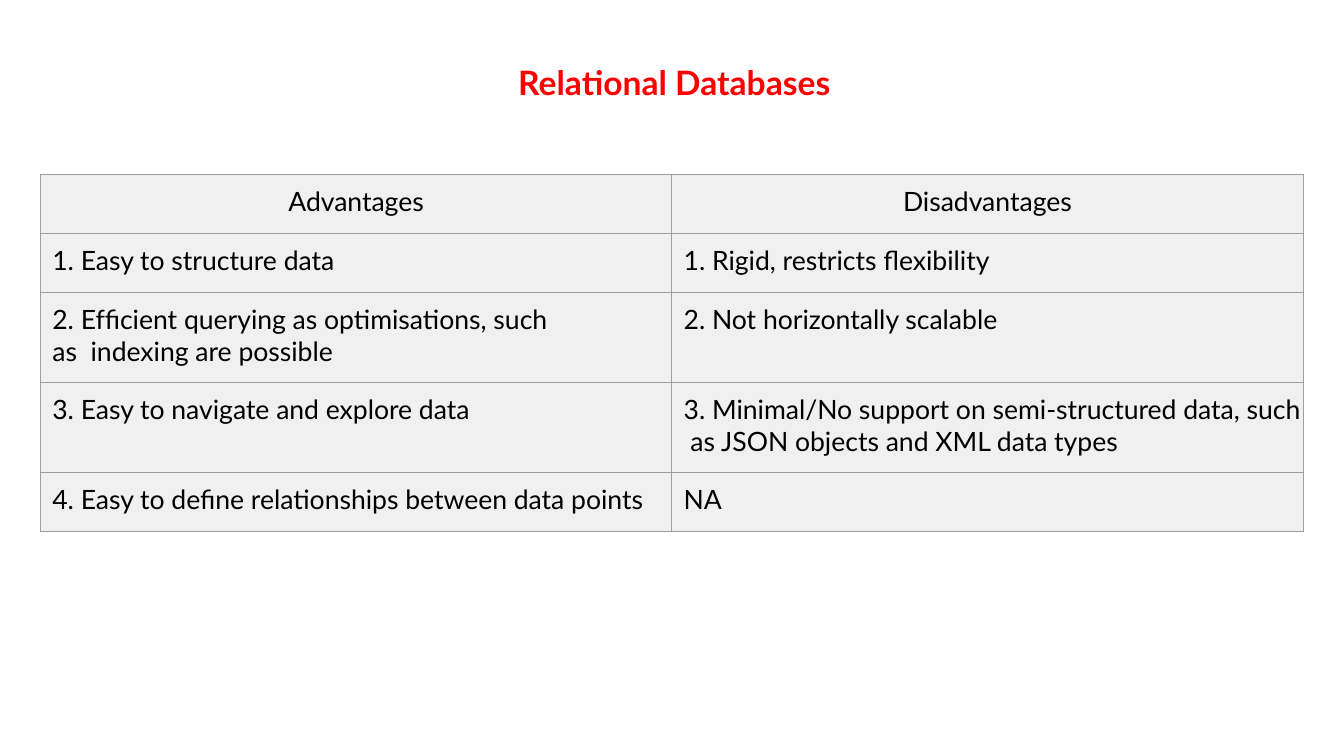
from dataclasses import dataclass

from lxml import etree
from pptx import Presentation
from pptx.dml.color import RGBColor
from pptx.enum import text
from pptx.oxml import ns
from pptx.util import Cm, Pt

FONT = "Lato"
RED = RGBColor(0xFF, 0x00, 0x00)
BLACK = RGBColor(0x00, 0x00, 0x00)
PALE_GREY = RGBColor(0xF0, 0xF0, 0xF0)
BORDER_GREY = RGBColor(0x9E, 0x9E, 0x9E)

COLUMN_WIDTH = Cm(15.91)
ONE_LINE, TWO_LINES = Cm(1.48), Cm(2.27)


@dataclass(frozen=True)
class Comparison:
    advantage: str
    disadvantage: str
    height: int = ONE_LINE
    advantage_margin: int = Cm(0)


HEADINGS = Comparison("Advantages", "Disadvantages")
COMPARISONS = (
    Comparison("1. Easy to structure data", "1. Rigid, restricts ﬂexibility"),
    Comparison(
        "2. Efﬁcient querying as optimisations, such as  indexing are possible",
        "2. Not horizontally scalable",
        TWO_LINES,
        Cm(2.5),
    ),
    Comparison(
        "3. Easy to navigate and explore data",
        "3. Minimal/No support on semi-structured data, such  as JSON objects and XML data types",
        TWO_LINES,
    ),
    Comparison("4. Easy to deﬁne relationships between data points", "NA"),
)


def style_font(font, size: float, color: RGBColor, bold: bool) -> None:
    font.name = FONT
    font.size = Pt(size)
    font.bold = bold
    font.color.rgb = color


def add_borders(cell) -> None:
    """Draw a thin grey line on all four sides; lines go before the fill."""
    properties = cell._tc.get_or_add_tcPr()
    for index, side in enumerate(("lnL", "lnR", "lnT", "lnB")):
        line = etree.Element(ns.qn(f"a:{side}"), w=str(Pt(0.75)))
        fill = etree.SubElement(line, ns.qn("a:solidFill"))
        etree.SubElement(fill, ns.qn("a:srgbClr"), val=str(BORDER_GREY))
        properties.insert(index, line)


def fill_cell(cell, wording: str, heading: bool, right_margin: int) -> None:
    cell.text = wording
    cell.margin_left = Cm(0) if heading else Cm(0.3)
    cell.margin_right = right_margin
    cell.margin_top, cell.margin_bottom = Cm(0.28), Cm(0)
    cell.vertical_anchor = text.MSO_ANCHOR.TOP
    cell.fill.solid()
    cell.fill.fore_color.rgb = PALE_GREY
    para = cell.text_frame.paragraphs[0]
    para.alignment = text.PP_ALIGN.CENTER if heading else text.PP_ALIGN.LEFT
    style_font(para.font, 19, BLACK, False)
    add_borders(cell)


def add_title(page) -> None:
    title = page.shapes.title
    title.left, title.top, title.width, title.height = Cm(13.03), Cm(1.52), Cm(8.36), Cm(1.07)
    frame = title.text_frame
    frame.text = "Relational Databases"
    frame.margin_left = Cm(0.03)
    frame.margin_top = Cm(0.05)
    frame.margin_right = frame.margin_bottom = Cm(0)
    frame.vertical_anchor = text.MSO_ANCHOR.TOP
    frame.auto_size = text.MSO_AUTO_SIZE.SHAPE_TO_FIT_TEXT
    para = frame.paragraphs[0]
    para.alignment = text.PP_ALIGN.LEFT
    style_font(para.font, 24, RED, True)


def add_comparison_table(page) -> None:
    rows = (HEADINGS, *COMPARISONS)
    height = sum(row.height for row in rows)
    table = page.shapes.add_table(
        len(rows), 2, Cm(1.02), Cm(4.4), 2 * COLUMN_WIDTH, height
    ).table
    table.first_row = table.horz_banding = False
    for column in table.columns:
        column.width = COLUMN_WIDTH
    for index, row in enumerate(rows):
        table.rows[index].height = row.height
        heading = row is HEADINGS
        fill_cell(table.cell(index, 0), row.advantage, heading, row.advantage_margin)
        fill_cell(table.cell(index, 1), row.disadvantage, heading, Cm(0))


def main() -> None:
    deck = Presentation()
    deck.slide_width, deck.slide_height = Cm(33.87), Cm(19.05)
    page = deck.slides.add_slide(deck.slide_layouts[5])
    add_title(page)
    add_comparison_table(page)
    deck.save("out.pptx")


if __name__ == "__main__":
    main()
